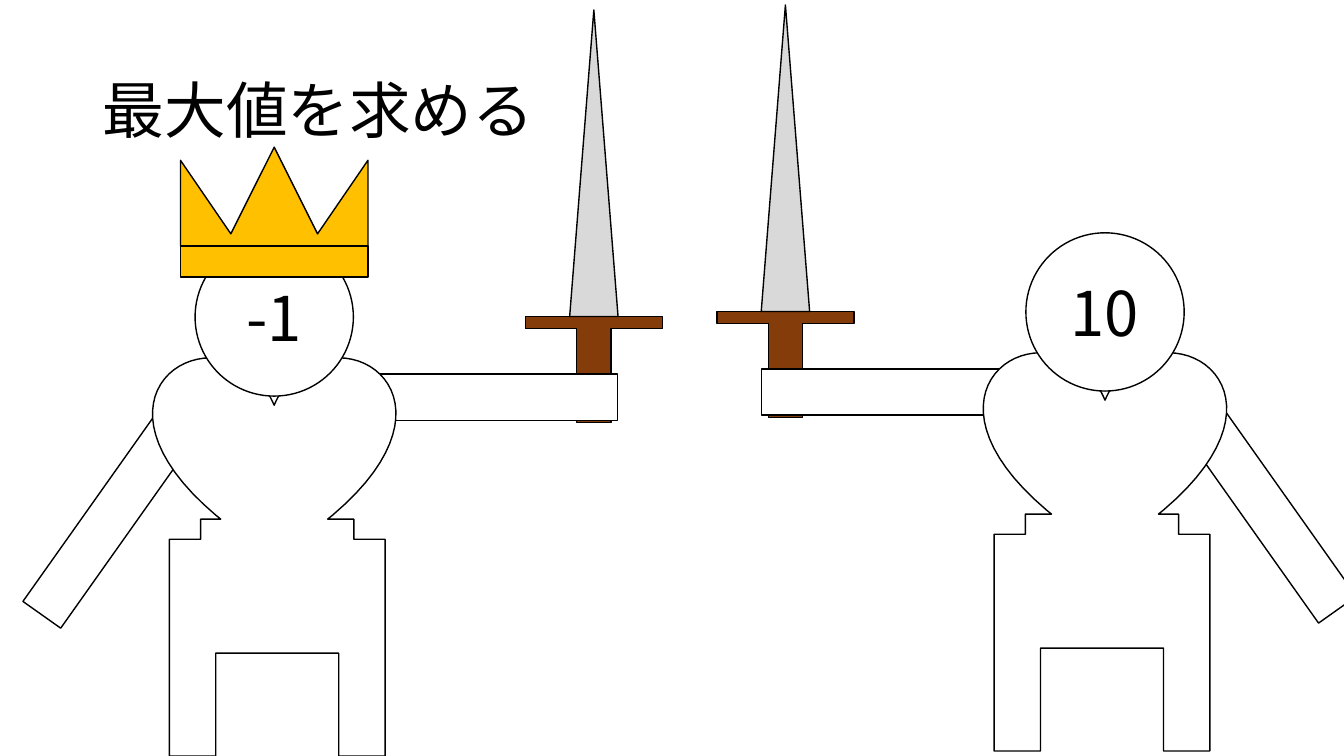
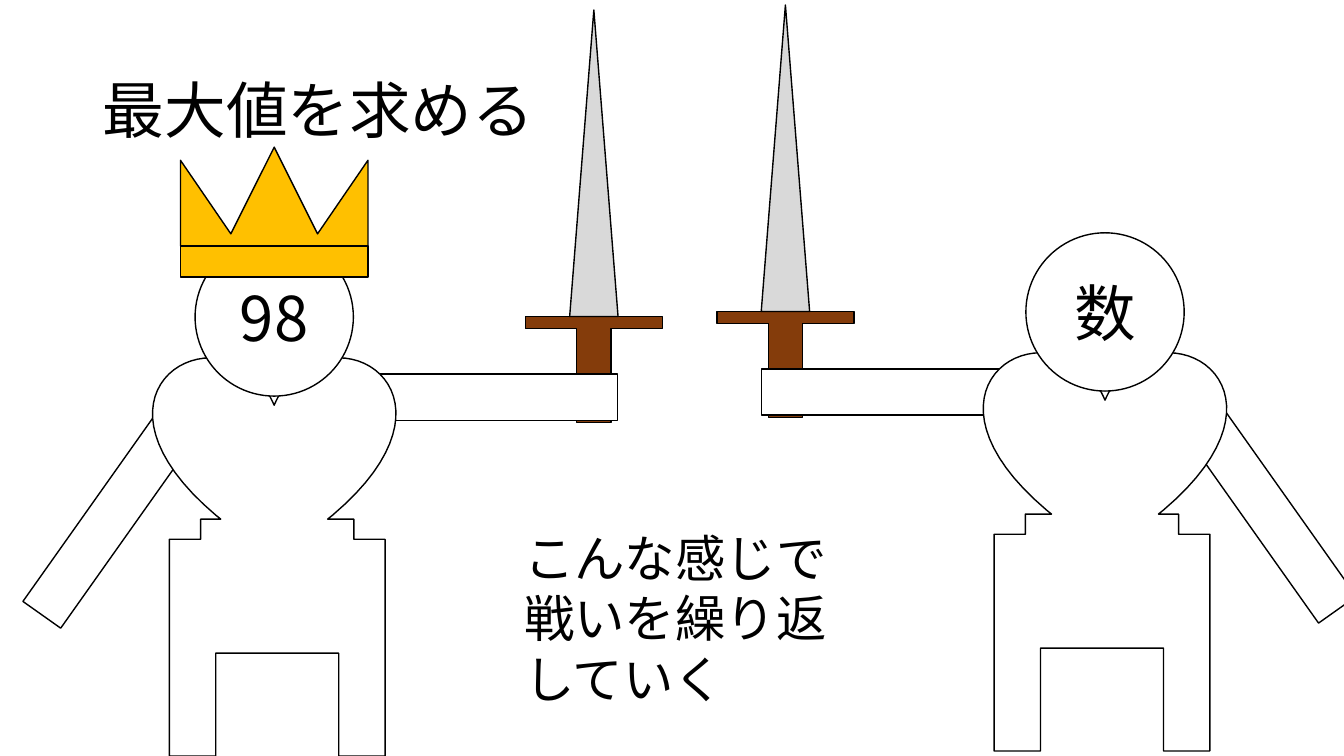
from pptx import Presentation
from pptx import util as u
from pptx.dml.color import RGBColor
from pptx.enum import shapes, text
from pptx.oxml.ns import qn
from lxml import etree

FONT = "Noto Sans CJK JP"
BLACK, WHITE, GOLD, STEEL, BROWN = "000000", "FFFFFF", "FFC000", "D9D9D9", "843C0B"
KIND = shapes.MSO_SHAPE


def paint(sp, fill):
    sp.shadow.inherit = False
    sp.fill.solid()
    sp.fill.fore_color.rgb = RGBColor.from_string(fill)
    sp.line.color.rgb = RGBColor.from_string(BLACK)
    sp.line.width = u.Pt(1)


def write(sp, words, size, align, anchor):
    tf = sp.text_frame
    tf.word_wrap = True
    tf.vertical_anchor = anchor
    p = tf.paragraphs[0]
    p.text = words
    p.alignment = align
    p.font.size = u.Pt(size)
    p.font.name = FONT
    p.font.color.rgb = RGBColor.from_string(BLACK)
    etree.SubElement(p._p.pPr.find(qn("a:defRPr")), qn("a:ea"), typeface=FONT)
    return p


# Fighter: x runs from the body's axis towards the sword, y down the slide.
# Outlines list points; an entry of six numbers is a Bezier curve.
HILT = [(2.49, 3.14), (3.85, 3.14), (3.85, 3.26), (3.34, 3.26),
        (3.34, 4.19), (3, 4.19), (3, 3.26), (2.49, 3.26)]
BODY = [(0.64, 3.55), (1.17, 3.55, 1.62, 4.23, 0.58, 5.11), (0.53, 5.15),
        (0.79, 5.15), (0.79, 5.35), (1.1, 5.35), (1.1, 7.5), (0.64, 7.5),
        (0.64, 6.48), (-0.58, 6.48), (-0.58, 7.5), (-1.04, 7.5),
        (-1.04, 5.35), (-0.73, 5.35), (-0.73, 5.15), (-0.53, 5.15),
        (-0.58, 5.11), (-1.62, 4.23, -1.17, 3.55, -0.63, 3.55),
        (-0.39, 3.55, -0.14, 3.7, 0, 4.02), (0.14, 3.69, 0.4, 3.55, 0.64, 3.55)]
CROWN = [(0, 1.46), (0.43, 2.32), (0.93, 1.59), (0.93, 2.44),
         (-0.93, 2.44), (-0.93, 1.59), (-0.43, 2.32)]

# Parts from back to front: kind or outline, centre x, top, width, height, turn
SWORD_AND_BODY = [
    (HILT, BROWN),
    ((KIND.ISOSCELES_TRIANGLE, 3.17, 0.1, 0.48, 3.04, 0), STEEL),
    ((KIND.RECTANGLE, 2.02, 3.71, 2.77, 0.46, 0), WHITE),
    ((KIND.RECTANGLE, -1.47, 4.69, 2.89, 0.46, -54.7), WHITE),
    (BODY, WHITE),
    ((KIND.OVAL, 0, 2.36, 1.57, 1.57, 0), WHITE),
]
CROWN_PARTS = [(CROWN, GOLD), ((KIND.RECTANGLE, 0, 2.44, 1.86, 0.31, 0), GOLD)]
STEPS = 24

# Axis, sword direction, vertical shift, parts
FIGHTERS = [(2.72, 1, 0, SWORD_AND_BODY + CROWN_PARTS),
            (10.96, -1, -0.05, SWORD_AND_BODY)]

prs = Presentation()
prs.slide_width, prs.slide_height = u.Inches(13.33), u.Inches(7.5)

for numbers, caption in [(("-1", "10"), None),
                         (("98", "数"), "こんな感じで戦いを繰り返していく")]:
    s = prs.slides.add_slide(prs.slide_layouts[5])

    # Title
    title = s.shapes.title
    title.left, title.top = u.Inches(0.92), u.Inches(0.4)
    title.width, title.height = u.Inches(11.5), u.Inches(1.45)
    p = write(title, "最大値を求める", 44, text.PP_ALIGN.LEFT, text.MSO_ANCHOR.MIDDLE)
    p.line_spacing = 0.9

    # Two fighters facing each other
    for number, (axis, side, shift, parts) in zip(numbers, FIGHTERS):
        group = s.shapes.add_group_shape()
        for part, fill in parts:
            if isinstance(part, list):
                # Flatten curves, then place the outline
                points = []
                for entry in part:
                    if len(entry) == 2:
                        points.append(entry)
                        continue
                    knots = [points[-1], entry[:2], entry[2:4], entry[4:]]
                    for step in range(1, STEPS + 1):
                        t = step / STEPS
                        weights = ((1 - t) ** 3, 3 * t * (1 - t) ** 2,
                                   3 * t * t * (1 - t), t ** 3)
                        points.append(tuple(sum(w * k[i] for w, k in zip(weights, knots))
                                            for i in (0, 1)))
                placed = [(u.Inches(axis + side * x), u.Inches(y + shift)) for x, y in points]
                builder = group.shapes.build_freeform(*placed[0])
                builder.add_line_segments(placed[1:], close=True)
                sp = builder.convert_to_shape()
            else:
                kind, x, y, w, h, turn = part
                sp = group.shapes.add_shape(
                    kind, u.Inches(axis + side * x - w / 2), u.Inches(y + shift),
                    u.Inches(w), u.Inches(h))
                sp.rotation = side * turn
                if kind == KIND.OVAL:
                    write(sp, number, 44, text.PP_ALIGN.CENTER, text.MSO_ANCHOR.MIDDLE)
            paint(sp, fill)

    # Caption
    if caption:
        box = s.shapes.add_textbox(u.Inches(5.1), u.Inches(5.18), u.Inches(3.27), u.Inches(1.92))
        write(box, caption, 36, text.PP_ALIGN.LEFT, text.MSO_ANCHOR.TOP)

prs.save("out.pptx")
